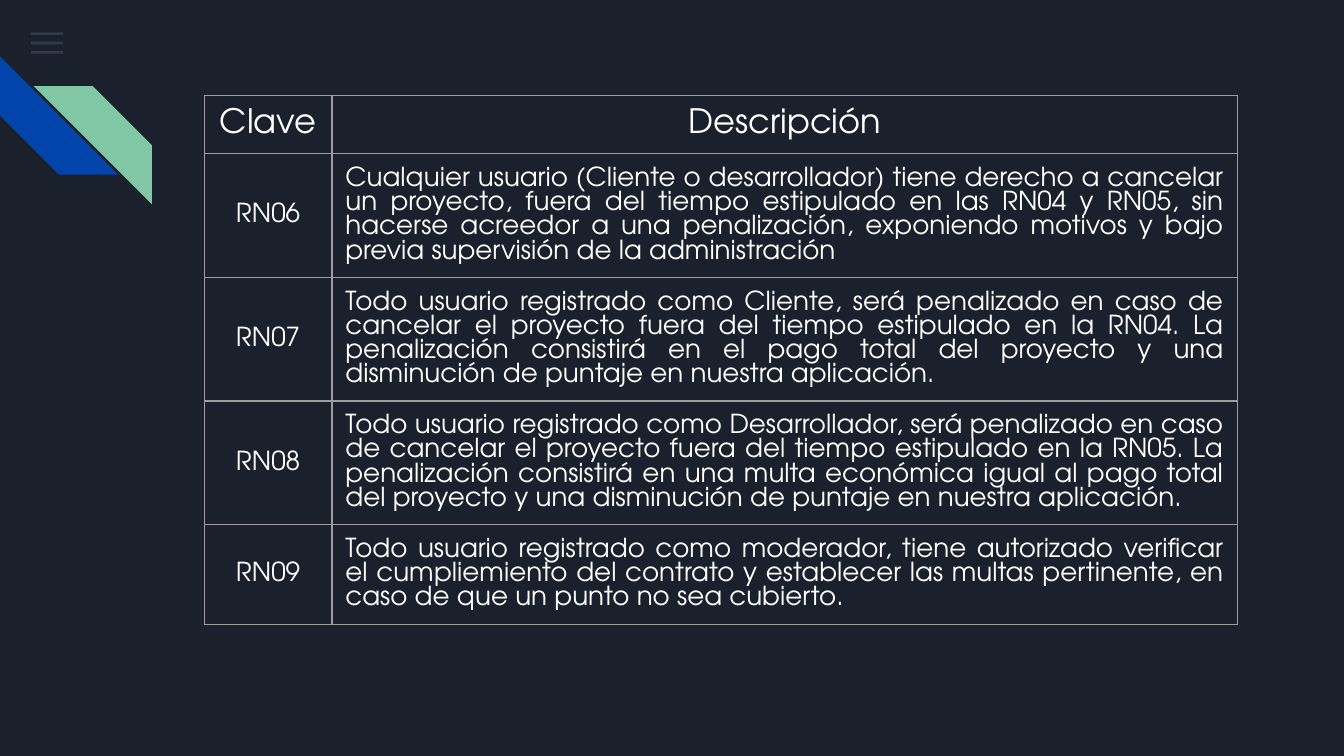
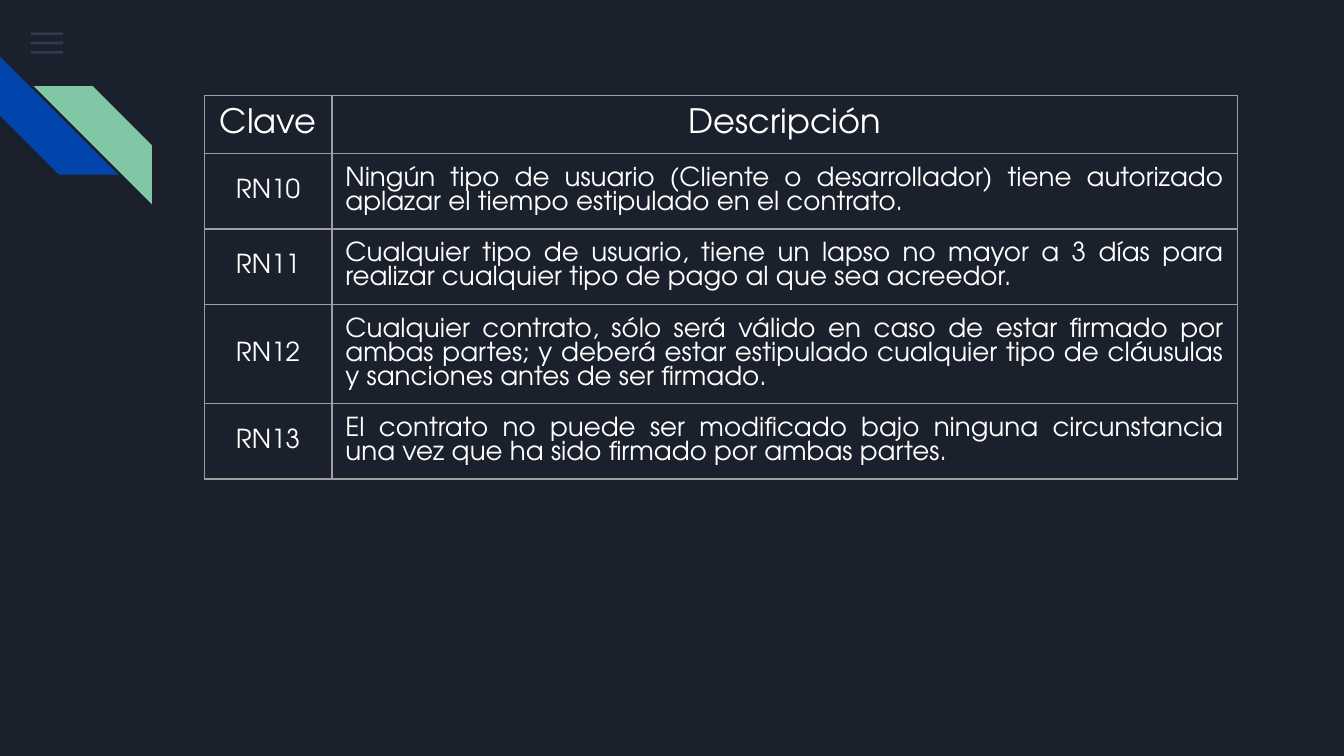
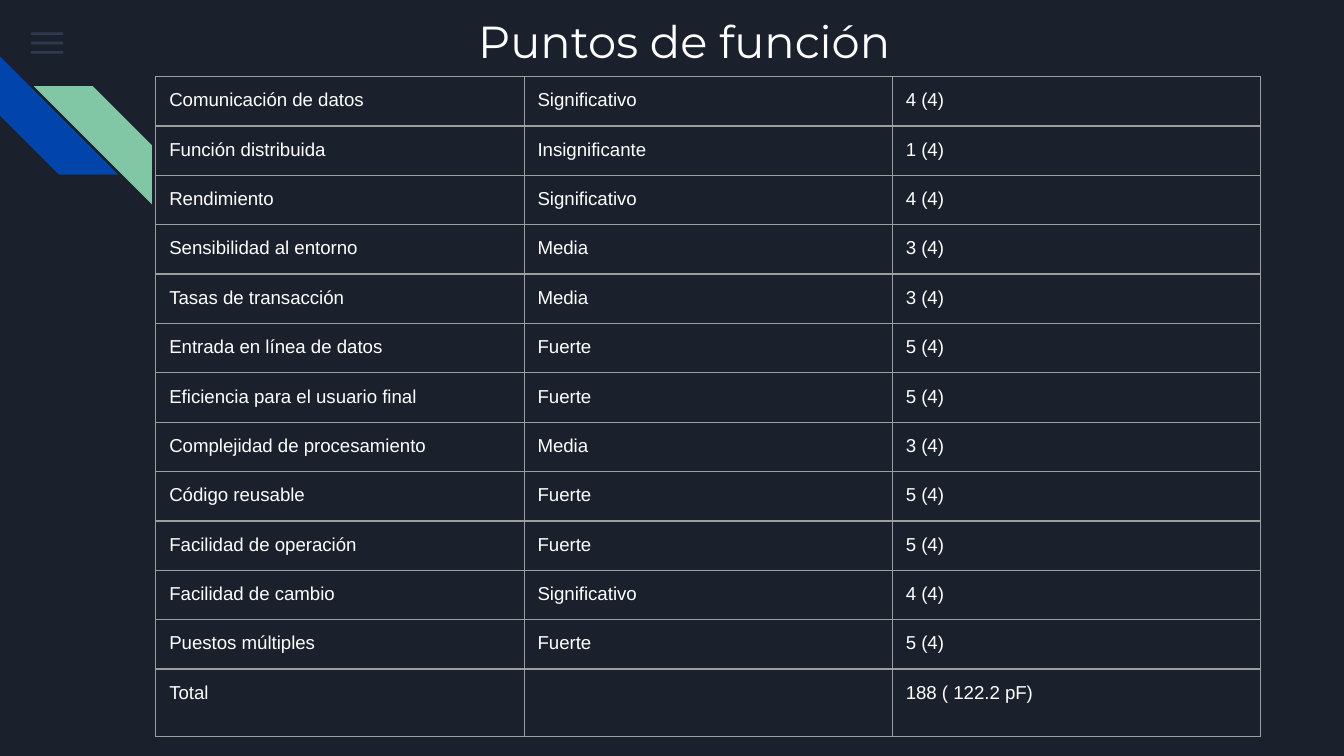
import pptx
import pptx.dml.color
import pptx.enum.shapes
import pptx.enum.text
import pptx.oxml
import pptx.oxml.ns
import pptx.util

SHAPE = pptx.enum.shapes.MSO_SHAPE
ALIGN = pptx.enum.text.PP_ALIGN
ANCHOR = pptx.enum.text.MSO_ANCHOR

HEAD = ("Clave", "Descripción")
RULES = [
    [
        ("RN06", "Cualquier usuario (Cliente o desarrollador) tiene derecho a cancelar un proyecto, "
                 "fuera del tiempo estipulado en las RN04 y RN05, sin hacerse acreedor a una penalización, "
                 "exponiendo motivos y bajo previa supervisión de la administración"),
        ("RN07", "Todo usuario registrado como Cliente, será penalizado en caso de cancelar el proyecto "
                 "fuera del tiempo estipulado en la RN04. La penalización consistirá en el pago total del "
                 "proyecto y una disminución de puntaje en nuestra aplicación."),
        ("RN08", "Todo usuario registrado como Desarrollador, será penalizado en caso de cancelar el "
                 "proyecto fuera del tiempo estipulado en la RN05. La penalización consistirá en una multa "
                 "económica igual al pago total del proyecto y una disminución de puntaje en nuestra "
                 "aplicación."),
        ("RN09", "Todo usuario registrado como moderador, tiene autorizado verificar el cumpliemiento del "
                 "contrato y establecer las multas pertinente, en caso de que un punto no sea cubierto."),
    ],
    [
        ("RN10", "Ningún tipo de usuario (Cliente o desarrollador) tiene autorizado aplazar el tiempo "
                 "estipulado en el contrato."),
        ("RN11", "Cualquier tipo de usuario, tiene un lapso no mayor a 3 días para realizar cualquier "
                 "tipo de pago al que sea acreedor."),
        ("RN12", "Cualquier contrato, sólo será válido en caso de estar firmado por ambas partes; y deberá "
                 "estar estipulado cualquier tipo de cláusulas y sanciones antes de ser firmado."),
        ("RN13", "El contrato no puede ser modificado bajo ninguna circunstancia una vez que ha sido "
                 "firmado por ambas partes."),
    ],
]
TITLE = "Puntos de función"
POINTS = [
    ("Comunicación de datos", "Significativo", "4 (4)"),
    ("Función distribuida", "Insignificante", "1 (4)"),
    ("Rendimiento", "Significativo", "4 (4)"),
    ("Sensibilidad al entorno", "Media", "3 (4)"),
    ("Tasas de transacción", "Media", "3 (4)"),
    ("Entrada en línea de datos", "Fuerte", "5 (4)"),
    ("Eficiencia para el usuario final", "Fuerte", "5 (4)"),
    ("Complejidad de procesamiento", "Media", "3 (4)"),
    ("Código reusable", "Fuerte", "5 (4)"),
    ("Facilidad de operación", "Fuerte", "5 (4)"),
    ("Facilidad de cambio", "Significativo", "4 (4)"),
    ("Puestos múltiples", "Fuerte", "5 (4)"),
    ("Total", "", "188 ( 122.2 pF)"),
]

THEME = {
    "back": "1B212C", "text": "FFFFFF", "rule": "9E9E9E",
    "menu": "55688B", "blue": "0145AC", "green": "82C7A5",
    "title": {"name": "Montserrat", "size": 24},
    "head": {"name": "TeX Gyre Adventor", "size": 18},
    "body": {"name": "TeX Gyre Adventor", "size": 14},
    "small": {"name": "Arial", "size": 10},
    "line": 0.75,
}
WIDE, HIGH = pptx.util.Inches(10), pptx.util.Inches(5.625)
PAD = 1  # inset of every text, in shares of the width


def share(num):
    """Length of num hundredths of the slide's width."""
    return round(WIDE * num / 100)


def hue(key):
    return pptx.dml.color.RGBColor.from_string(THEME[key])


def write(frame, text, kind, align):
    para = frame.paragraphs[0]
    para.alignment = align
    run = para.add_run()
    run.text = text
    look = THEME[kind]
    for key, val in {"name": look["name"], "size": pptx.util.Pt(look["size"])}.items():
        setattr(run.font, key, val)
    run.font.color.rgb = hue("text")


def inset(part):
    for side in ("left", "top", "right", "bottom"):
        setattr(part, f"margin_{side}", share(PAD))


def block(slide, kind, box, key):
    shape = slide.shapes.add_shape(kind, *map(share, box))
    shape.shadow.inherit = False
    shape.fill.solid()
    shape.fill.fore_color.rgb = hue(key)
    shape.line.fill.background()
    return shape


def fade(shape, part):
    color = next(shape._element.spPr.iter(pptx.oxml.ns.qn("a:srgbClr")))
    alpha = pptx.oxml.parse_xml(f'<a:alpha {pptx.oxml.ns.nsdecls("a")} val="{part * 1000}"/>')
    color.append(alpha)


def start(deck):
    """Add a slide with the menu icon and the two corner stripes."""
    slide = deck.slides.add_slide(deck.slide_layouts[6])
    slide.background.fill.solid()
    slide.background.fill.fore_color.rgb = hue("back")
    for row in range(3):
        fade(block(slide, SHAPE.RECTANGLE, (2.3, 2.4 + 0.7 * row, 2.4, 0.2), "menu"), 36)
    blue = block(slide, SHAPE.DIAGONAL_STRIPE, (0, 4.2, 8.8, 8.8), "blue")
    blue.rotation = 270
    green = block(slide, SHAPE.DIAGONAL_STRIPE, (2.5, 6.4, 8.8, 8.8), "green")
    green._element.spPr.find(pptx.oxml.ns.qn("a:xfrm")).set("flipH", "1")
    return slide


def frame(cell):
    """Draw the four borders of a cell and clear its fill."""
    props = cell._tc.get_or_add_tcPr()
    width = pptx.util.Pt(THEME["line"])
    for side in "LRTB":
        props.append(pptx.oxml.parse_xml(
            f'<a:ln{side} {pptx.oxml.ns.nsdecls("a")} w="{width}"><a:solidFill>'
            f'<a:srgbClr val="{THEME["rule"]}"/></a:solidFill></a:ln{side}>'))
    cell.fill.background()


def grid(slide, spot, cols, tall, rows, style):
    """Add a table; style gives font kind, alignment and anchor by row and column."""
    size = (sum(cols), tall * len(rows))
    table = slide.shapes.add_table(len(rows), len(cols), *map(share, spot + size)).table
    for flag in ("first_row", "horz_banding"):
        setattr(table, flag, False)
    for col, wide in zip(table.columns, cols):
        col.width = share(wide)
    for r, row in enumerate(rows):
        for c, text in enumerate(row):
            cell = table.cell(r, c)
            frame(cell)
            inset(cell)
            kind, align, cell.vertical_anchor = style(r, c)
            if text:
                write(cell.text_frame, text, kind, align)


def rule(row, col):
    if row == 0:
        return "head", ALIGN.CENTER, ANCHOR.TOP
    return "body", (ALIGN.CENTER, ALIGN.JUSTIFY)[col], ANCHOR.MIDDLE


def point(row, col):
    return "small", ALIGN.LEFT, ANCHOR.TOP


def main():
    deck = pptx.Presentation()
    deck.slide_width, deck.slide_height = WIDE, HIGH
    for rules in RULES:
        grid(start(deck), (15.2, 7.1), (9.5, 67.4), 4, [HEAD] + rules, rule)
    slide = start(deck)
    title = slide.shapes.add_textbox(*map(share, (22.8, 0, 56.2, 7.8))).text_frame
    title.word_wrap = True
    inset(title)
    write(title, TITLE, "title", ALIGN.CENTER)
    grid(slide, (11.6, 5.7), (27.4,) * 3, 3, POINTS, point)
    deck.save("out.pptx")


if __name__ == "__main__":
    main()
